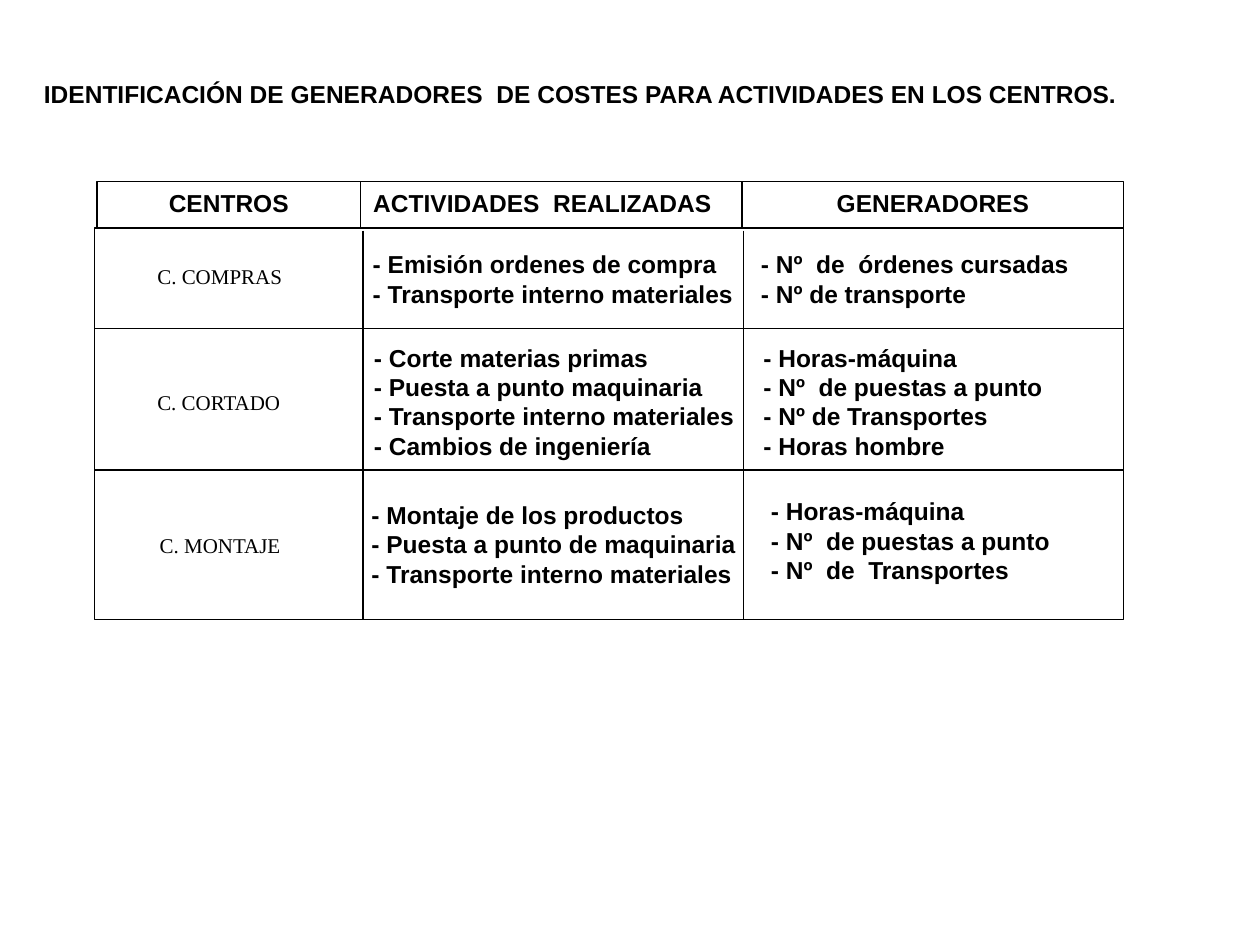
from pptx import Presentation
from pptx import util as u
from pptx.dml.color import RGBColor
from pptx.enum import shapes, text
from lxml import etree

BLACK = RGBColor(0, 0, 0)
EDGE = 0.74
BOLD = {"name": "Arial", "size": u.Pt(14), "bold": True}
PLAIN = {"name": "Times New Roman", "size": u.Pt(12), "bold": False}
LEFT, CENTER = text.PP_ALIGN.LEFT, text.PP_ALIGN.CENTER

# Grid edges
TOP, BODY, BASE = 103.7, 130.3, 354.2
START, END = 54, 642.2
ROWS = (187.9, 268.6)
COLS = (207.4, 424.8)

TITLE = ("IDENTIFICACIÓN DE GENERADORES  DE COSTES PARA ACTIVIDADES "
         "EN LOS CENTROS. ")

# Left, width, wording
HEADS = (
    (55.4, 150.8, "CENTROS", CENTER),
    (206.2, 217.9, "ACTIVIDADES  REALIZADAS", LEFT),
    (424.1, 218.1, "GENERADORES", CENTER),
)

# Left, top, width, wording
CENTERS = (
    (82.8, 146.9, 85.7, "C. COMPRAS"),
    (82.8, 218.9, 86.4, "C. CORTADO"),
    (84.2, 301, 84.2, "C. MONTAJE"),
)

# Left, top, width, lines
LISTS = (
    (205.9, 139, 234, ("Emisión ordenes de compra",
                       "Transporte interno materiales ")),
    (206.6, 192.2, 228.2, ("Corte materias primas",
                           "Puesta a punto maquinaria",
                           "Transporte interno materiales",
                           "Cambios de ingeniería ")),
    (205.2, 282.2, 239.8, ("Montaje de los productos",
                           "Puesta a punto de maquinaria",
                           "Transporte interno materiales ")),
    (427.7, 139, 198, ("Nº  de  órdenes cursadas", "Nº de transporte ")),
    (429.1, 192.2, 185.8, ("Horas-máquina", "Nº  de puestas a punto ",
                           "Nº de Transportes", "Horas hombre ")),
    (433.4, 280.1, 185.8, ("Horas-máquina", "Nº  de puestas a punto ",
                           "Nº  de  Transportes ")),
)


def write(shape, lines, style, align=LEFT, wrap=True):
    frame = shape.text_frame
    frame.word_wrap = wrap
    frame.vertical_anchor = text.MSO_ANCHOR.TOP
    frame.text = "\n".join(lines)
    for para in frame.paragraphs:
        para.alignment = align
        font = para.runs[0].font
        for key, value in style.items():
            setattr(font, key, value)
        font.color.rgb = BLACK


def label(slide, box, lines, style, wrap=True):
    shape = slide.shapes.add_textbox(*map(u.Pt, box))
    write(shape, lines, style, wrap=wrap)
    shape.text_frame.auto_size = text.MSO_AUTO_SIZE.SHAPE_TO_FIT_TEXT


def frame(slide, box):
    shape = slide.shapes.add_shape(shapes.MSO_SHAPE.RECTANGLE,
                                   *map(u.Pt, box))
    shape.shadow.inherit = False
    shape.fill.background()
    shape.line.color.rgb = BLACK
    shape.line.width = u.Pt(EDGE)
    return shape


def rule(slide, ends):
    line = slide.shapes.add_connector(shapes.MSO_CONNECTOR.STRAIGHT,
                                      *map(u.Pt, ends))
    line.line.color.rgb = BLACK
    line.line.width = u.Pt(EDGE)
    space = line.element.spPr.nsmap["a"]
    etree.SubElement(line.element.spPr, "{%s}effectLst" % space)


def main():
    deck = Presentation()
    deck.slide_width, deck.slide_height = u.Pt(720), u.Pt(540)
    slide = deck.slides.add_slide(deck.slide_layouts[6])

    # Title
    label(slide, (18, 41.8, 642.2, 24.5), [TITLE], BOLD)

    # Header row
    for left, width, head, align in HEADS:
        cell = frame(slide, (left, TOP, width, BODY - TOP))
        write(cell, [head], BOLD, align)

    # Body grid
    frame(slide, (START, BODY, END - START, BASE - BODY))
    for y in ROWS:
        rule(slide, (START, y, END, y))
    for x in COLS:
        rule(slide, (x, BODY + 1.5, x, BASE))

    # Cost centres
    for left, top, width, name in CENTERS:
        label(slide, (left, top, width, 21.6), [name], PLAIN, wrap=False)

    # Activities and drivers
    for left, top, width, items in LISTS:
        height = 7.2 + 16.9 * len(items)
        label(slide, (left, top, width, height),
              ["- " + item for item in items], BOLD)

    deck.save("out.pptx")


main()
